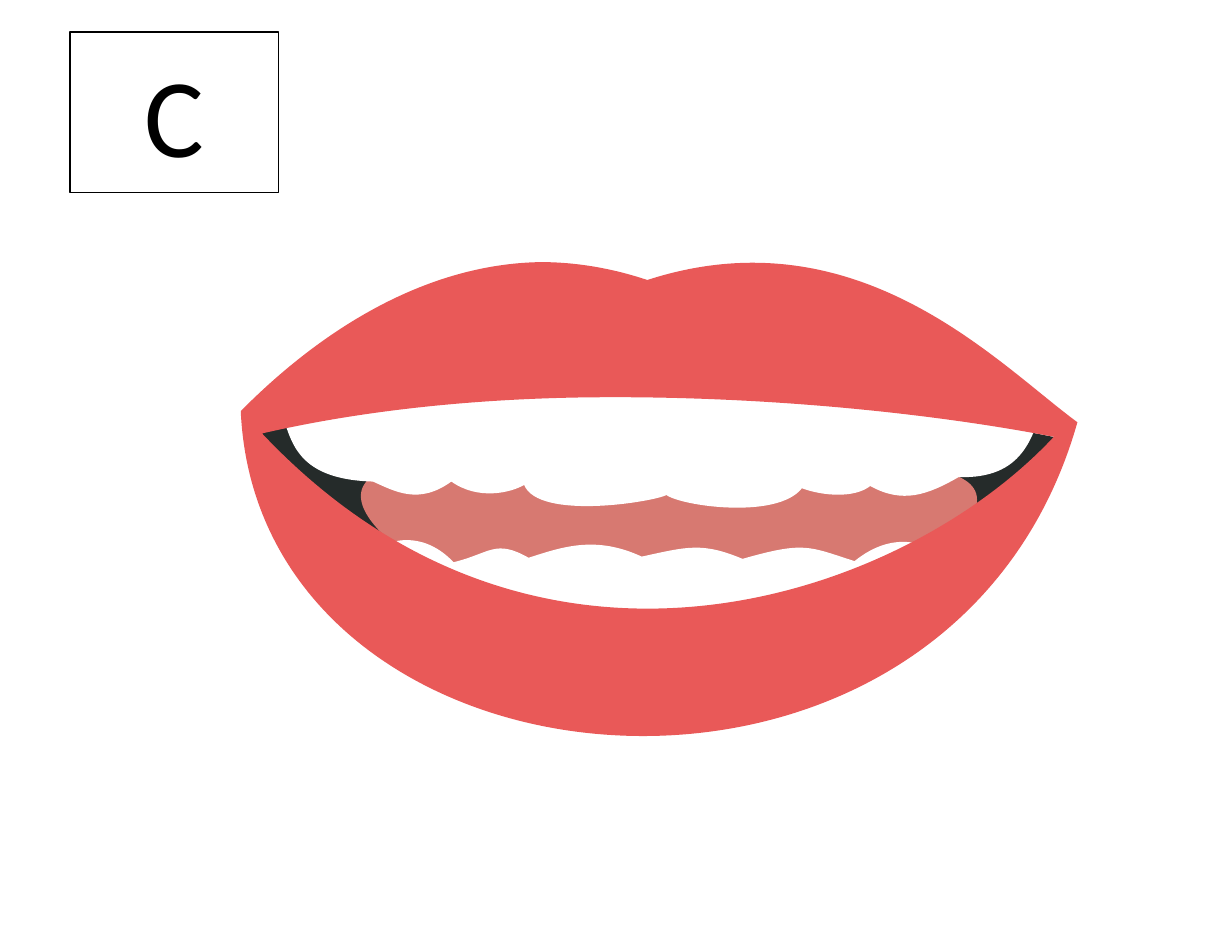
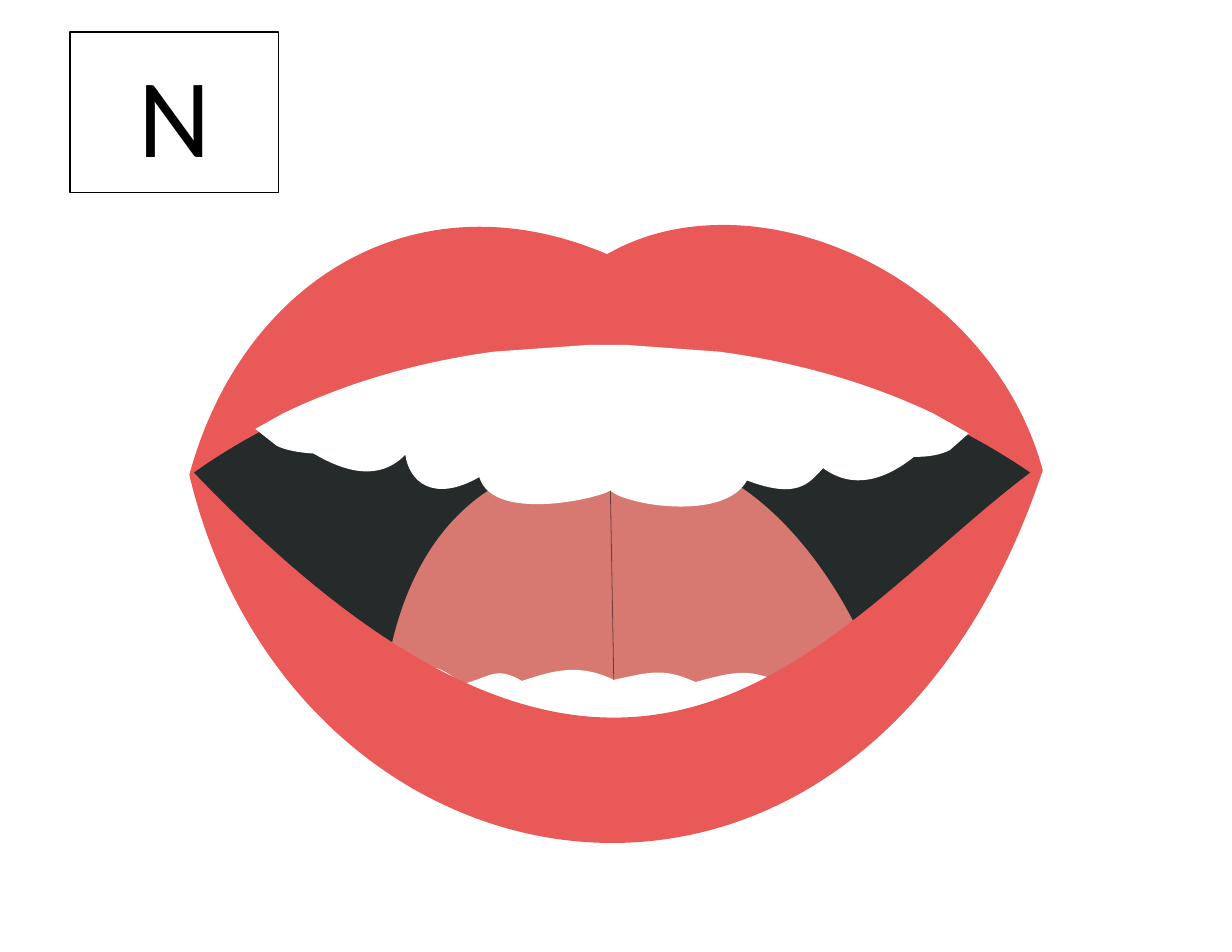
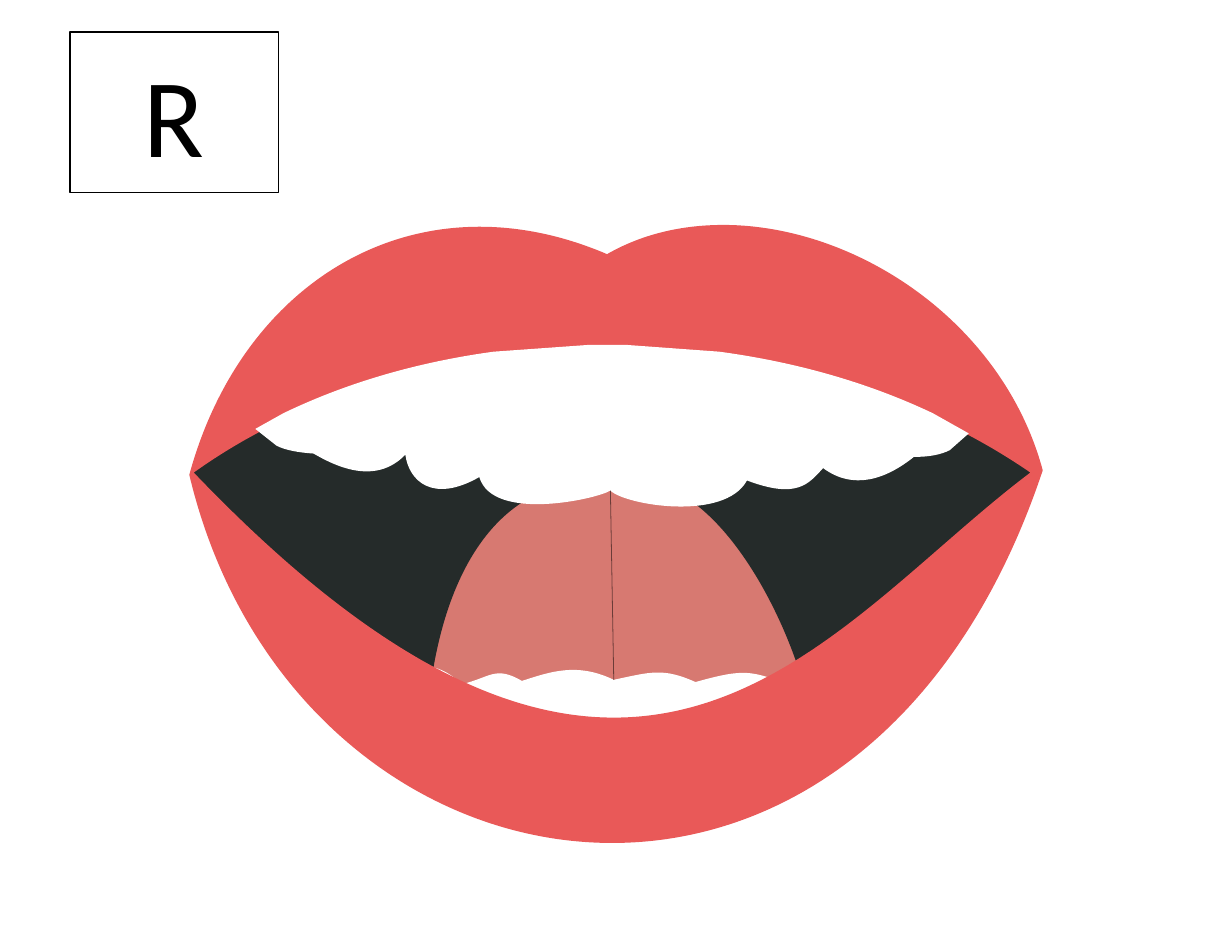
from dataclasses import dataclass

from lxml.etree import SubElement
from pptx import Presentation
from pptx.dml.color import RGBColor as Rgb
from pptx.enum.shapes import MSO_CONNECTOR as Connector, MSO_SHAPE as Preset
from pptx.enum.text import MSO_ANCHOR as Anchor, PP_ALIGN as Align
from pptx.oxml.ns import qn
from pptx.util import Inches, Pt

COLUMNS, ROWS = 1100, 850
CURVE_STEPS = 24
SEGMENT_TAGS = {"M": "a:moveTo", "L": "a:lnTo", "C": "a:cubicBezTo"}
LABEL_CELLS = (62.6, 28.6, 186.2, 143.2)


@dataclass(frozen=True)
class Theme:
    """Colours, type and line weights shared by the slides."""

    paper: Rgb = Rgb.from_string("FFFFFF")
    ink: Rgb = Rgb.from_string("000000")
    cavity: Rgb = Rgb.from_string("252B2A")
    tongue: Rgb = Rgb.from_string("D77971")
    lips: Rgb = Rgb.from_string("E95958")
    font: str = "Calibri"
    letter_size: int = 72
    hairline: float = 0.5
    thin: float = 1
    heavy: float = 3


THEME = Theme()


@dataclass(frozen=True)
class Box:
    """An area of the slide divided into columns and rows."""

    left: int
    top: int
    width: int
    height: int

    def point(self, column, row):
        """Return the slide position of a grid crossing."""
        return (round(self.left + self.width * column / COLUMNS),
                round(self.top + self.height * row / ROWS))

    def cells(self, column, row, columns, rows):
        """Return the box that covers a block of cells."""
        left, top = self.point(column, row)
        right, bottom = self.point(column + columns, row + rows)
        return Box(left, top, right - left, bottom - top)


@dataclass(frozen=True)
class Part:
    """One filled region of a mouth, with its contours in grid cells."""

    fill: Rgb
    contours: tuple
    edge: Rgb = None
    weight: float = 0


NARROW_PARTS = (
    Part(THEME.cavity, (
        "M225,388 C460,329,760,353,945,391 C812,545,479,677,225,388",)),
    Part(THEME.tongue, (
        "M329,428 C377,381,816,386,866,432 C913,476,690,592,601,592 "
        "C511,591,280,475,329,428",)),
    Part(THEME.paper, (
        "M357,561 C255,556,342,436,405,502 C438,494,442,481,472,498 "
        "C503,488,532,478,573,497 C614,488,627,484,663,499 "
        "C719,483,722,488,763,501 C836,442,900,553,832,563 "
        "C634,595,524,615,357,561",)),
    Part(THEME.paper, (
        "M509,341 C662,339,784,346,909,359 L931,363 "
        "C922,389,914,428,856,426 C828,442,806,450,777,434 "
        "C763,445,735,443,716,436 C694,464,609,452,595,442 "
        "C584,448,481,465,468,433 C456,440,427,447,403,430 "
        "C374,451,353,439,333,430 C260,428,260,389,250,365 "
        "L282,354 C356,347,432,343,509,341",)),
    Part(THEME.lips, (
        "M483,234 C513,234,545,239,578,250 C766,189,891,325,962,377 "
        "C848,780,231,723,215,367 C250,332,351,236,483,234",
        "M511,355 C416,357,321,367,234,387 C483,651,810,531,941,390 "
        "C827,368,669,352,511,355")),
)

OPENING = ("M544,312 C679,312,814,349,920,422 C734,562,568,835,173,422 "
           "C275,349,409,312,544,312")
WIDE_CAVITY = Part(THEME.cavity, (OPENING,), THEME.cavity, THEME.heavy)
BROAD_TONGUE = Part(THEME.tongue, (
    "M560,411 C695,384,802,605,786,643 C584,784,388,689,340,655 "
    "C345,491,429,398,560,411",))
SLIM_TONGUE = Part(THEME.tongue, (
    "M549,431 C654,404,736,624,724,662 C567,804,416,708,379,674 "
    "C383,510,448,417,549,431",), THEME.cavity, THEME.thin)
WIDE_FRONT = (
    Part(THEME.paper, (
        "M372,659 C290,655,360,557,412,611 C438,605,442,594,466,608 "
        "C491,600,515,591,548,607 C581,600,592,596,621,609 "
        "C667,596,670,600,703,610 C762,563,814,653,759,661 "
        "C598,687,508,703,372,659",)),
    Part(THEME.lips, (
        "M652,201 C769,204,896,290,931,420 C769,905,263,819,169,424 "
        "C217,248,374,155,542,227 C575,208,613,200,652,201",
        OPENING)),
    Part(THEME.paper, (
        "M525,308 L560,308 L642,314 C709,323,774,341,833,369 "
        "L865,387 L848,402 C840,406,830,408,816,408 "
        "C791,428,762,438,735,418 C722,432,712,446,667,429 "
        "C647,466,558,451,545,438 C535,445,440,467,428,426 "
        "C386,450,365,429,362,406 C335,434,299,416,280,405 "
        "C266,404,255,402,247,398 L228,383 L253,369 "
        "C311,341,375,323,441,314 L525,308",)),
)
MIDLINE = ((545, 438), (548, 607))

MOUTHS = (
    ("C", NARROW_PARTS, None),
    ("N", (WIDE_CAVITY, BROAD_TONGUE, *WIDE_FRONT), MIDLINE),
    ("R", (WIDE_CAVITY, SLIM_TONGUE, *WIDE_FRONT), MIDLINE),
)


def assign(target, values):
    """Set each named attribute of the target."""
    for name, value in values.items():
        setattr(target, name, value)


def paint(shape, fill, edge=None, weight=0):
    """Give a shape a flat fill and an optional edge."""
    shape.shadow.inherit = False
    shape.fill.solid()
    shape.fill.fore_color.rgb = fill
    if edge is None:
        shape.line.fill.background()
    else:
        shape.line.color.rgb = edge
        shape.line.width = Pt(weight)


def bezier(start, controls, share):
    """Return the point of a cubic curve at a share of its run."""
    rest = 1 - share
    weights = (rest ** 3, 3 * rest ** 2 * share, 3 * rest * share ** 2, share ** 3)
    return tuple(round(sum(weight * value for weight, value in zip(weights, axis)))
                 for axis in zip(start, *controls))


def read_contour(box, contour):
    """Return the segments of a contour as a kind and its slide positions."""
    segments = []
    for command in contour.split():
        values = [int(value) for value in command[1:].split(",")]
        spots = [box.point(*pair) for pair in zip(values[::2], values[1::2])]
        segments.append((command[0], spots))
    return segments


def flatten(segments):
    """Return points along the segments, from which the extent is measured."""
    points = []
    for kind, spots in segments:
        if kind == "C":
            start = points[-1]
            spots = [bezier(start, spots, step / CURVE_STEPS)
                     for step in range(1, CURVE_STEPS + 1)]
        points += spots
    return points


def curve_outline(shape, contours):
    """Give a freeform true curves in place of its measuring points."""
    outline = shape._element.xpath(".//a:path")[0]
    for segment in list(outline):
        outline.remove(segment)
    for contour in contours:
        for kind, spots in contour:
            segment = SubElement(outline, qn(SEGMENT_TAGS[kind]))
            for x, y in spots:
                SubElement(segment, qn("a:pt"),
                           x=str(x - shape.left), y=str(y - shape.top))
        SubElement(outline, qn("a:close"))


def draw_part(shapes, box, part):
    """Draw one region of the mouth, cutting inner contours out."""
    contours = [read_contour(box, contour) for contour in part.contours]
    start, *rest = flatten(contours[0])
    builder = shapes.build_freeform(*start, scale=1.0)
    builder.add_line_segments(rest, close=True)
    region = builder.convert_to_shape()
    curve_outline(region, contours)
    paint(region, part.fill, part.edge, part.weight)


def draw_midline(shapes, box, ends):
    """Draw the half-transparent line down the tongue."""
    start, end = (box.point(*spot) for spot in ends)
    midline = shapes.add_connector(Connector.STRAIGHT, *start, *end)
    midline.line.color.rgb = THEME.ink
    midline.line.width = Pt(THEME.hairline)
    properties = midline._element.spPr
    colour = properties.xpath(".//a:ln//a:srgbClr")[0]
    SubElement(colour, qn("a:alpha")).set("val", "50000")
    SubElement(properties, qn("a:effectLst"))


def draw_mouth(slide, box, parts, midline):
    """Draw a mouth as one group, from the back to the front."""
    shapes = slide.shapes.add_group_shape().shapes
    for part in parts:
        draw_part(shapes, box, part)
    if midline:
        draw_midline(shapes, box, midline)


def draw_panel(slide, box, edge):
    """Draw a paper-coloured rectangle that fills the box."""
    panel = slide.shapes.add_shape(
        Preset.RECTANGLE, box.left, box.top, box.width, box.height)
    paint(panel, THEME.paper, edge, THEME.thin)
    return panel


def draw_label(slide, box, letter):
    """Draw the framed letter that names the mouth."""
    frame = draw_panel(slide, box, THEME.ink).text_frame
    assign(frame, {"word_wrap": True, "vertical_anchor": Anchor.MIDDLE})
    paragraph = frame.paragraphs[0]
    paragraph.alignment = Align.CENTER
    run = paragraph.add_run()
    run.text = letter
    assign(run.font, {"name": THEME.font, "size": Pt(THEME.letter_size)})
    run.font.color.rgb = THEME.ink


def add_mouth_slide(deck, letter, parts, midline):
    """Add a slide that shows a letter and its mouth shape."""
    slide = deck.slides.add_slide(deck.slide_layouts[6])
    page = Box(0, 0, deck.slide_width, deck.slide_height)
    draw_panel(slide, page, THEME.paper)
    draw_label(slide, page.cells(*LABEL_CELLS), letter)
    draw_mouth(slide, page, parts, midline)


def main():
    """Build and save the deck."""
    deck = Presentation()
    assign(deck, {"slide_width": Inches(11), "slide_height": Inches(8.5)})
    for letter, parts, midline in MOUTHS:
        add_mouth_slide(deck, letter, parts, midline)
    deck.save("out.pptx")


if __name__ == "__main__":
    main()
